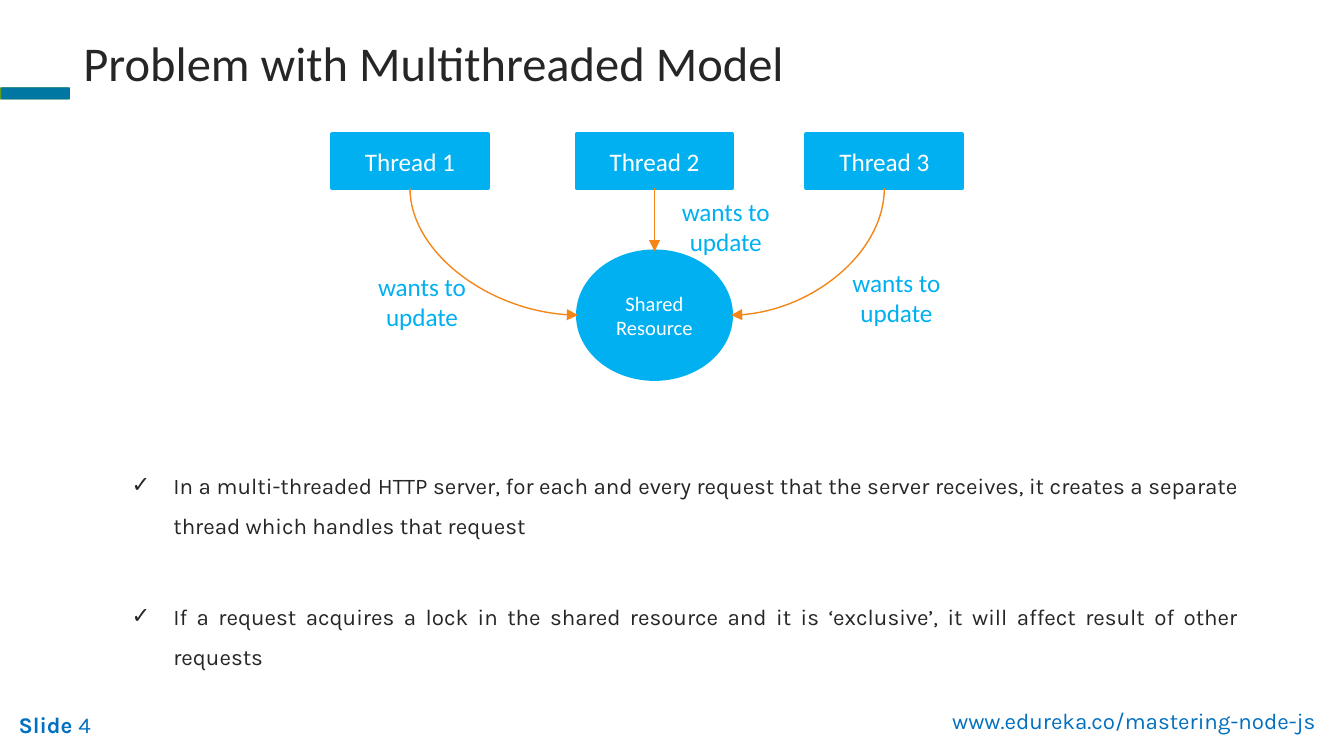
from dataclasses import dataclass

from lxml import etree
from pptx import Presentation
from pptx.dml.color import RGBColor
from pptx.enum.shapes import MSO_CONNECTOR, MSO_SHAPE
from pptx.enum.text import MSO_ANCHOR, MSO_AUTO_SIZE, PP_ALIGN
from pptx.oxml.ns import qn
from pptx.util import Inches, Pt

RECT, OVAL = MSO_SHAPE.RECTANGLE, MSO_SHAPE.OVAL
CURVE = MSO_CONNECTOR.CURVE
LEFT, CENTER = PP_ALIGN.LEFT, PP_ALIGN.CENTER
RIGHT, JUSTIFY = PP_ALIGN.RIGHT, PP_ALIGN.JUSTIFY
TOP, MIDDLE = MSO_ANCHOR.TOP, MSO_ANCHOR.MIDDLE
NO_FIT = MSO_AUTO_SIZE.NONE


@dataclass(frozen=True)
class Theme:
    ink: str = "262626"
    sky: str = "00B0F0"
    white: str = "FFFFFF"
    arrow: str = "F48618"
    footer: str = "0070C0"
    accent: str = "0076A3"
    accent_under: str = "5C9B1D"
    head_font: str = "Calibri"
    body_font: str = "Karla"
    title_size: float = 26
    label_size: float = 13.5
    resource_size: float = 11
    body_size: float = 12


THEME = Theme()
LABEL = {"name": THEME.head_font, "size": THEME.label_size}
NODE_LABEL = {**LABEL, "color": THEME.white}
ARROW_LABEL = {**LABEL, "color": THEME.sky}
RESOURCE_LABEL = {**NODE_LABEL, "size": THEME.resource_size}
TITLE = {"name": THEME.head_font, "size": THEME.title_size, "color": THEME.ink}
BODY = {"name": THEME.body_font, "size": THEME.body_size, "color": THEME.ink}
FOOTER = {**BODY, "color": THEME.footer}

THREAD_W, THREAD_H, THREAD_TOP = 1.16, 0.4, 1
THREADS = {"Thread 1": 2.47, "Thread 2": 4.29, "Thread 3": 6}
RESOURCE = (4.3, 1.87, 1.14, 0.95)
ARROW_LABEL_SPOTS = [(2.6, 1.97), (4.86, 1.41), (6.13, 1.94)]
POINTS = [
    "In a multi-threaded HTTP server, for each and every request that the "
    "server receives, it creates a separate thread which handles that request",
    "If a request acquires a lock in the shared resource and it is "
    "‘exclusive’, it will affect result of other requests",
]


def add_run(p, text, style):
    r = p.add_run()
    r.text = text
    for key, value in style.items():
        if key == "color":
            r.font.color.rgb = RGBColor.from_string(value)
        else:
            setattr(r.font, key, Pt(value) if key == "size" else value)


def set_frame(tf, anchor=TOP):
    tf.word_wrap = True
    tf.auto_size = NO_FIT
    tf.vertical_anchor = anchor


def place(sp, *box):
    sp.left, sp.top, sp.width, sp.height = map(Inches, box)


def add_text(slide, box, runs, align=LEFT):
    """Add a one-paragraph text box from (text, style) pairs."""
    tf = slide.shapes.add_textbox(*map(Inches, box)).text_frame
    set_frame(tf)
    p = tf.paragraphs[0]
    p.alignment = align
    for text, style in runs:
        add_run(p, text, style)


def add_block(slide, kind, box, color, outlined=False):
    sp = slide.shapes.add_shape(kind, *map(Inches, box))
    sp.shadow.inherit = False
    sp.fill.solid()
    sp.fill.fore_color.rgb = RGBColor.from_string(color)
    if outlined:
        sp.line.color.rgb = RGBColor.from_string(color)
        sp.line.width = Pt(2)
    else:
        sp.line.fill.background()
    return sp


def add_node(slide, kind, box, text, style):
    tf = add_block(slide, kind, box, THEME.sky, outlined=True).text_frame
    set_frame(tf, MIDDLE)
    tf.paragraphs[0].alignment = CENTER
    add_run(tf.paragraphs[0], text, style)


def add_curved_arrow(slide, x1, y1, x2, y2):
    """Add an arrow that leaves downwards and, if it turns, arrives sideways."""
    cxn = slide.shapes.add_connector(CURVE, 0, 0, 0, 0)
    # The preset starts sideways, so its box is laid flat and turned.
    w, h = y2 - y1, abs(x2 - x1)
    place(cxn, (x1 + x2 - w) / 2, (y1 + y2 - h) / 2, w, h)
    sp_pr = cxn._element.spPr
    xfrm = sp_pr.find(qn("a:xfrm"))
    xfrm.set("rot", str((270 if x2 > x1 else 90) * 60000))
    if x2 > x1:
        xfrm.set("flipH", "1")
    if h:
        sp_pr.find(qn("a:prstGeom")).set("prst", "curvedConnector2")
    cxn.line.color.rgb = RGBColor.from_string(THEME.arrow)
    cxn.line.width = Pt(0.75)
    etree.SubElement(cxn.line._get_or_add_ln(), qn("a:tailEnd"), type="triangle")
    etree.SubElement(sp_pr, qn("a:effectLst"))


def fill_title(sp, text):
    place(sp, 0.52, 0.18, 8.62, 0.56)
    set_frame(sp.text_frame, MIDDLE)
    p = sp.text_frame.paragraphs[0]
    p.alignment = LEFT
    add_run(p, text, TITLE)


def fill_points(sp, points):
    place(sp, 0.88, 3.36, 8.44, 1.62)
    tf = sp.text_frame
    set_frame(tf)
    for i, text in enumerate(points):
        p = tf.add_paragraph() if i else tf.paragraphs[0]
        p_pr = p._p.get_or_add_pPr()
        p_pr.set("marL", str(Inches(0.31)))
        p_pr.set("indent", str(-Inches(0.31)))
        etree.SubElement(p_pr, qn("a:buChar"), char="✓")
        p.alignment = JUSTIFY
        p.line_spacing = 1.5
        p.space_before = Pt(27 if i else 0)
        add_run(p, text, BODY)


def add_diagram(slide):
    left, top, width, height = RESOURCE
    middle = left + width / 2
    for name, x in THREADS.items():
        add_node(slide, RECT, (x, THREAD_TOP, THREAD_W, THREAD_H), name, NODE_LABEL)
    add_node(slide, OVAL, RESOURCE, "Shared Resource", RESOURCE_LABEL)
    for x in THREADS.values():
        start = x + THREAD_W / 2
        if x < middle < x + THREAD_W:
            end = (start, top)
        else:
            end = (left if start < middle else left + width, top + height / 2)
        add_curved_arrow(slide, start, THREAD_TOP + THREAD_H, *end)
    for x, y in ARROW_LABEL_SPOTS:
        add_text(slide, (x, y, 1.08, 0.56), [("wants to update", ARROW_LABEL)], CENTER)


def add_footer(slide):
    add_text(slide, (5.62, 5.21, 4.27, 0.3),
             [("www.edureka.co/mastering-node-js", FOOTER)], RIGHT)
    add_text(slide, (0.04, 5.24, 1.58, 0.3),
             [("Slide ", {**FOOTER, "bold": True}), ("4", FOOTER)])


def main():
    prs = Presentation()
    prs.slide_width = Inches(10)
    prs.slide_height = Inches(10 * 9 / 16)
    slide = prs.slides.add_slide(prs.slide_layouts[1])
    add_footer(slide)
    for x, color in ((0, THEME.accent_under), (0.01, THEME.accent)):
        add_block(slide, RECT, (x, 0.65, 0.51, 0.09), color)
    fill_title(slide.shapes.title, "Problem with Multithreaded Model")
    add_diagram(slide)
    fill_points(slide.placeholders[1], POINTS)
    prs.save("out.pptx")


if __name__ == "__main__":
    main()
